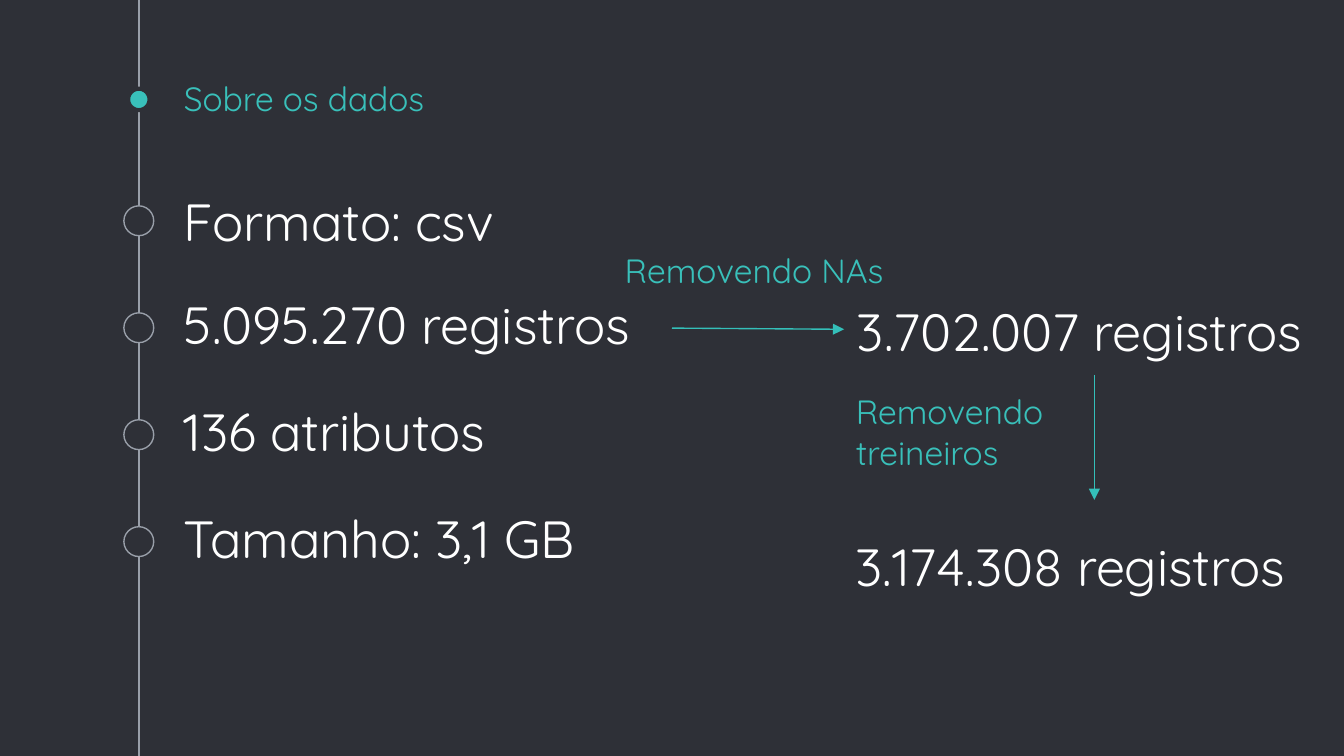
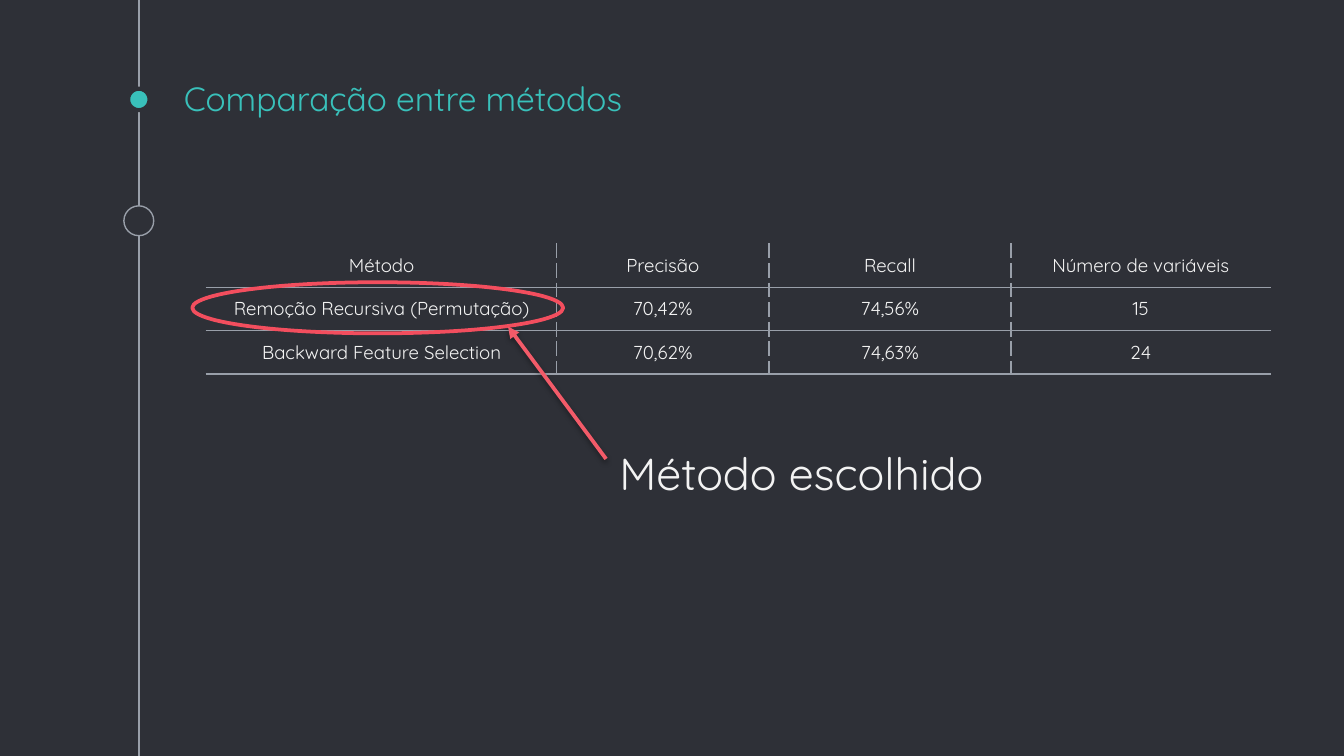
from lxml import etree
from pptx import Presentation
from pptx.dml.color import RGBColor
from pptx.enum.shapes import MSO_CONNECTOR, MSO_SHAPE
from pptx.enum.text import MSO_ANCHOR, PP_ALIGN
from pptx.oxml import parse_xml
from pptx.oxml.ns import nsdecls, qn
from pptx.util import Pt

STRAIGHT = MSO_CONNECTOR.STRAIGHT
OVAL = MSO_SHAPE.OVAL
TOP, MIDDLE, BOTTOM = MSO_ANCHOR.TOP, MSO_ANCHOR.MIDDLE, MSO_ANCHOR.BOTTOM
CENTER = PP_ALIGN.CENTER
LEFT_SIDE, BOTTOM_SIDE, RIGHT_SIDE = 1, 2, 3

FONT = "Quicksand"
COLORS = {name: RGBColor.from_string(value) for name, value in {
    "background": "2E3037",
    "grey": "999FA9",
    "teal": "39C0BA",
    "arrow": "34BFB9",
    "white": "FFFFFF",
    "light": "F3F3F3",
    "highlight": "F34E5E",
    "pointer": "F35B69",
}.items()}

WIDTH, HEIGHT = 720, 405
SPINE_X = 74.4
TEXT_LEFT = 91.4
RING_CENTERS = [118.3 + 57.3 * index for index in range(4)]


def add_text(slide, text, left, top, width, height, size=28, color="white",
             anchor=BOTTOM, space_before=0):
    box = slide.shapes.add_textbox(Pt(left), Pt(top), Pt(width), Pt(height))
    frame = box.text_frame
    frame.word_wrap = True
    frame.vertical_anchor = anchor
    frame.margin_left = frame.margin_right = Pt(7.2)
    frame.margin_top = frame.margin_bottom = Pt(7.2)
    paragraph = frame.paragraphs[0]
    paragraph.space_before = Pt(space_before)
    run = paragraph.add_run()
    run.text = text
    run.font.name = FONT
    run.font.size = Pt(size)
    run.font.color.rgb = COLORS[color]
    return box


def add_line(slide, start, end, color, width=0.75, source=None, side=None):
    """Draw a plain line, or an arrow when it leaves a side of a source shape."""
    line = slide.shapes.add_connector(STRAIGHT, *[Pt(value) for value in start + end])
    line.line.color.rgb = COLORS[color]
    line.line.width = Pt(width)
    if source is not None:
        line.begin_connect(source, side)
        etree.SubElement(line.line._get_or_add_ln(), qn("a:tailEnd"), type="triangle")
    etree.SubElement(line._element.spPr, qn("a:effectLst"))
    return line


presentation = Presentation()
presentation.slide_width = Pt(WIDTH)
presentation.slide_height = Pt(HEIGHT)

# Shared timeline: spine, title dot and one ring per entry
slides = []
for title, ring_count in [("Sobre os dados", 4), ("Comparação entre métodos", 1)]:
    slide = presentation.slides.add_slide(presentation.slide_layouts[6])
    slide.background.fill.solid()
    slide.background.fill.fore_color.rgb = COLORS["background"]
    add_line(slide, (SPINE_X, 0), (SPINE_X, HEIGHT), "grey")

    circles = [(53.3, 11.5, "teal", "background", 2.25)]
    circles += [(center, 16, "background", "grey", 0.75)
                for center in RING_CENTERS[:ring_count]]
    for center, diameter, fill, outline, outline_width in circles:
        circle = slide.shapes.add_shape(
            OVAL, Pt(SPINE_X - diameter / 2), Pt(center - diameter / 2),
            Pt(diameter), Pt(diameter))
        circle.shadow.inherit = False
        circle.fill.solid()
        circle.fill.fore_color.rgb = COLORS[fill]
        circle.line.color.rgb = COLORS[outline]
        circle.line.width = Pt(outline_width)

    add_text(slide, title, TEXT_LEFT, 43.2, 540, 27.4, size=18, color="teal")
    slides.append(slide)

data_slide, comparison_slide = slides

# Slide 1: facts about the data and how the records were filtered
facts = [
    ("Formato: csv", 558.7, 45.4),
    ("5.095.270 registros", 268.6, 43.2),
    ("136 atributos", 558.7, 43.2),
    ("Tamanho: 3,1 GB", 558.7, 43.2),
]
fact_boxes = [
    add_text(data_slide, text, TEXT_LEFT, center - 21.4, width, height)
    for (text, width, height), center in zip(facts, RING_CENTERS)
]
all_records = fact_boxes[1]
without_missing = add_text(data_slide, "3.702.007 registros", 452, 157.7, 268.6, 43.2)
add_text(data_slide, "3.174.308 registros", 451.4, 283.7, 268.6, 43.2)
add_text(data_slide, "Removendo NAs", 327.6, 135.4, 157, 27.4, size=18, color="teal")
add_text(data_slide, "Removendo treineiros", 451.4, 232.6, 168.5, 27.4,
         size=18, color="teal")
add_line(data_slide, (360, 175.7), (452.2, 176.4), "arrow",
         source=all_records, side=RIGHT_SIDE)
add_line(data_slide, (586.3, 200.9), (586.3, 267.8), "arrow",
         source=without_missing, side=BOTTOM_SIDE)

# Slide 2: comparison table with the chosen method marked
rows = [
    ("Método", "Precisão", "Recall", "Número de variáveis"),
    ("Remoção Recursiva (Permutação)", "70,42%", "74,56%", "15"),
    ("Backward Feature Selection", "70,62%", "74,63%", "24"),
]
column_widths = [187.6, 113.8, 129.6, 139]
row_height = 23.2
last_column = len(column_widths) - 1

table = comparison_slide.shapes.add_table(
    len(rows), len(column_widths), Pt(110.6), Pt(130.8),
    Pt(sum(column_widths)), Pt(row_height * len(rows))).table
table.first_row = False
table.horz_banding = False
for column, width in zip(table.columns, column_widths):
    column.width = Pt(width)

for row_index, row in enumerate(rows):
    table.rows[row_index].height = Pt(row_height)
    for column_index, text in enumerate(row):
        cell = table.cell(row_index, column_index)
        cell.fill.background()
        cell.vertical_anchor = MIDDLE
        cell.margin_left = cell.margin_right = Pt(7.2)
        cell.margin_top = cell.margin_bottom = Pt(5)
        paragraph = cell.text_frame.paragraphs[0]
        paragraph.alignment = CENTER
        run = paragraph.add_run()
        run.text = text
        run.font.name = FONT
        run.font.size = Pt(10)
        run.font.color.rgb = COLORS["light"]

        borders = [
            ("lnL", column_index == 0, "dash"),
            ("lnR", column_index == last_column, "dash"),
            ("lnT", row_index == 0, "solid"),
            ("lnB", False, "solid"),
        ]
        properties = cell._tc.get_or_add_tcPr()
        for position, (tag, hidden, dash) in enumerate(borders):
            color = COLORS["background" if hidden else "grey"]
            width = Pt(1 if hidden else 0.75)
            style = "solid" if hidden else dash
            properties.insert(position, parse_xml(
                f'<a:{tag} {nsdecls("a")} w="{width}"><a:solidFill>'
                f'<a:srgbClr val="{color}"/></a:solidFill>'
                f'<a:prstDash val="{style}"/></a:{tag}>'))

highlight = comparison_slide.shapes.add_shape(OVAL, Pt(103), Pt(151.2), Pt(198.7), Pt(27.4))
highlight.shadow.inherit = False
highlight.fill.background()
highlight.line.color.rgb = COLORS["highlight"]
highlight.line.width = Pt(2)

chosen = add_text(comparison_slide, "Método escolhido", 324.7, 231.8, 221.8, 28.1,
                  size=24, color="light", anchor=TOP, space_before=6)
pointer = add_line(comparison_slide, (324.7, 245.9), (272.2, 175), "pointer", 2,
                   source=chosen, side=LEFT_SIDE)
pointer._element.spPr.find(qn("a:effectLst")).append(parse_xml(
    f'<a:outerShdw {nsdecls("a")} blurRad="{Pt(3.1)}" dist="{Pt(1.6)}" dir="5400000" '
    'rotWithShape="0"><a:srgbClr val="000000"><a:alpha val="38000"/></a:srgbClr>'
    '</a:outerShdw>'))

presentation.save("out.pptx")
